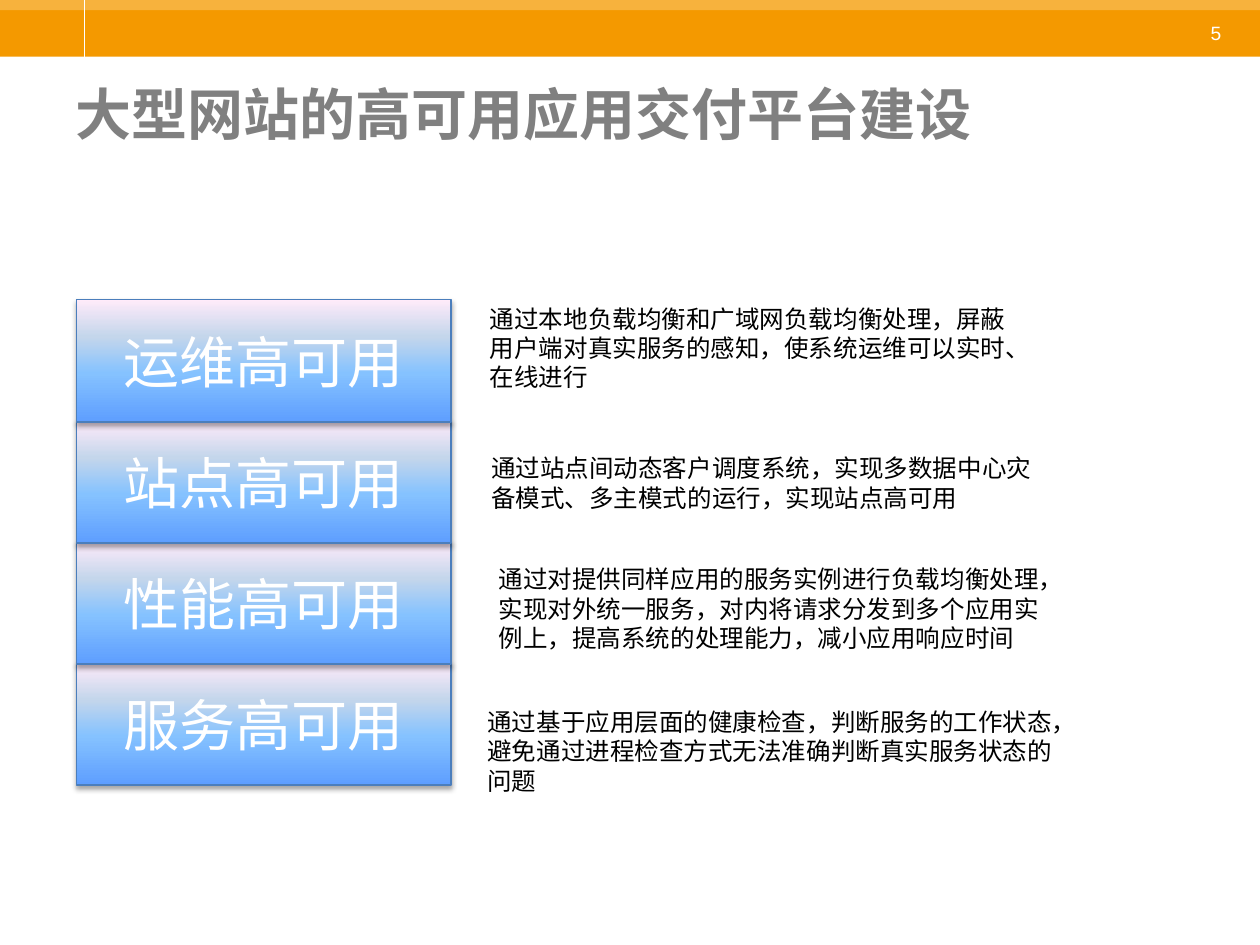
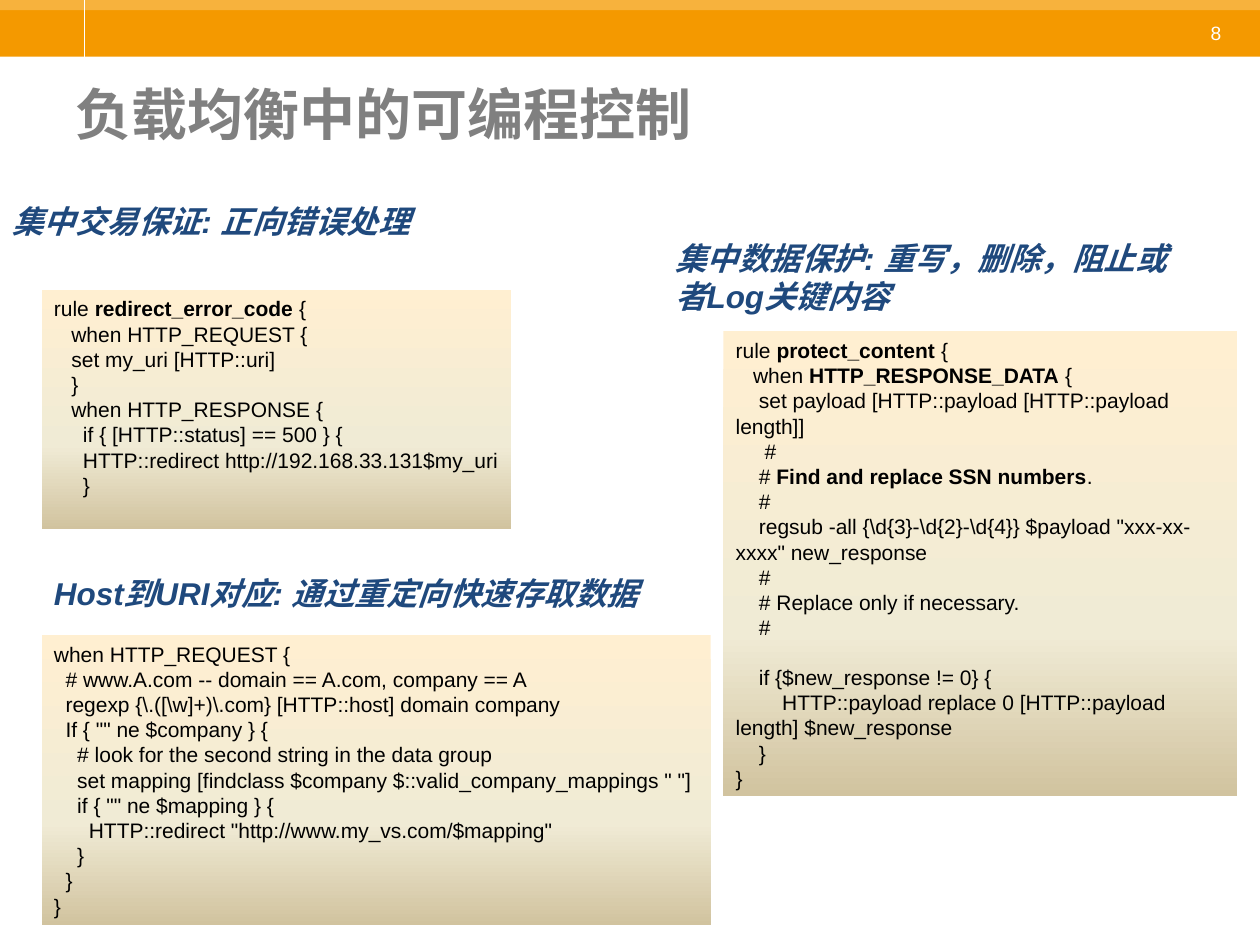
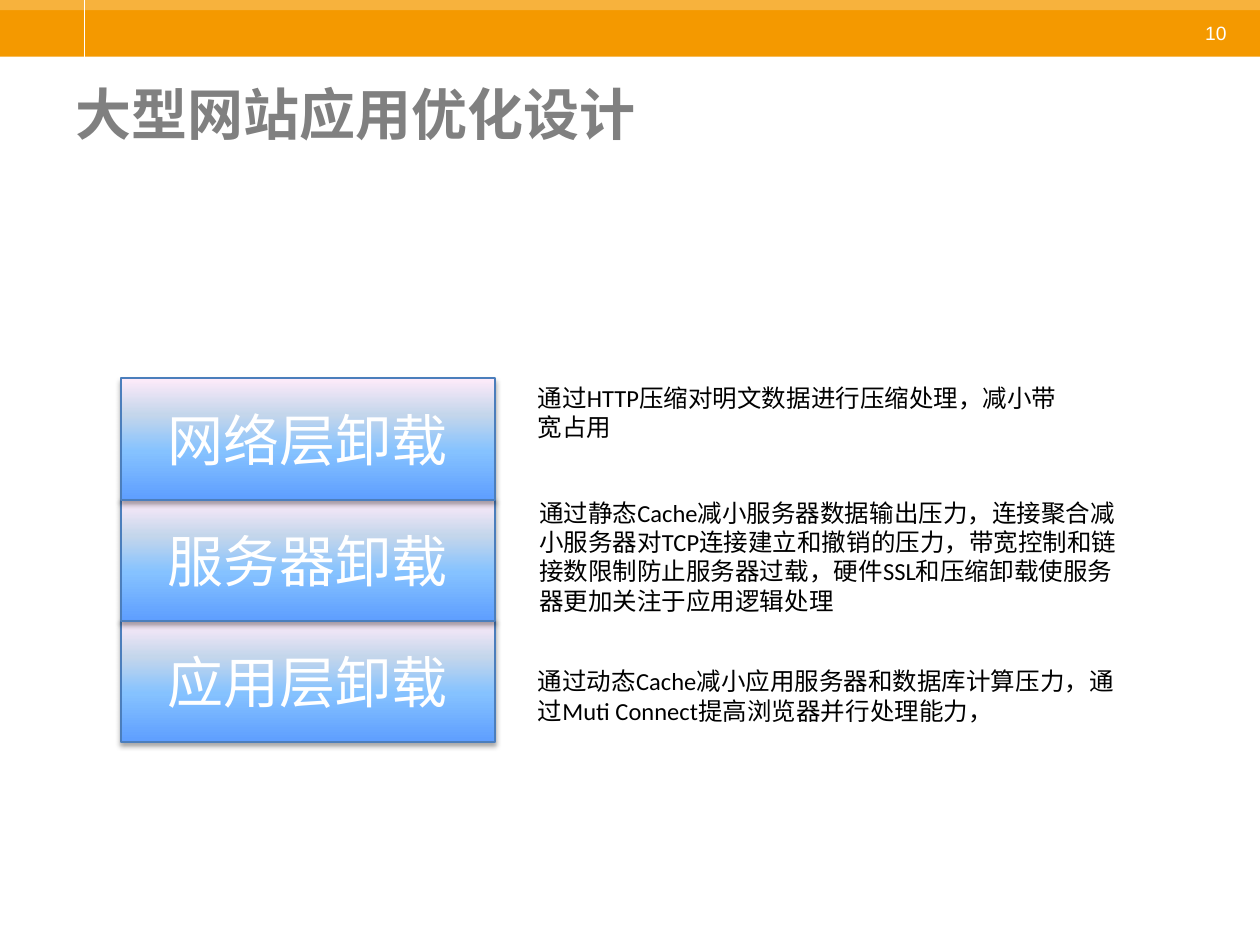
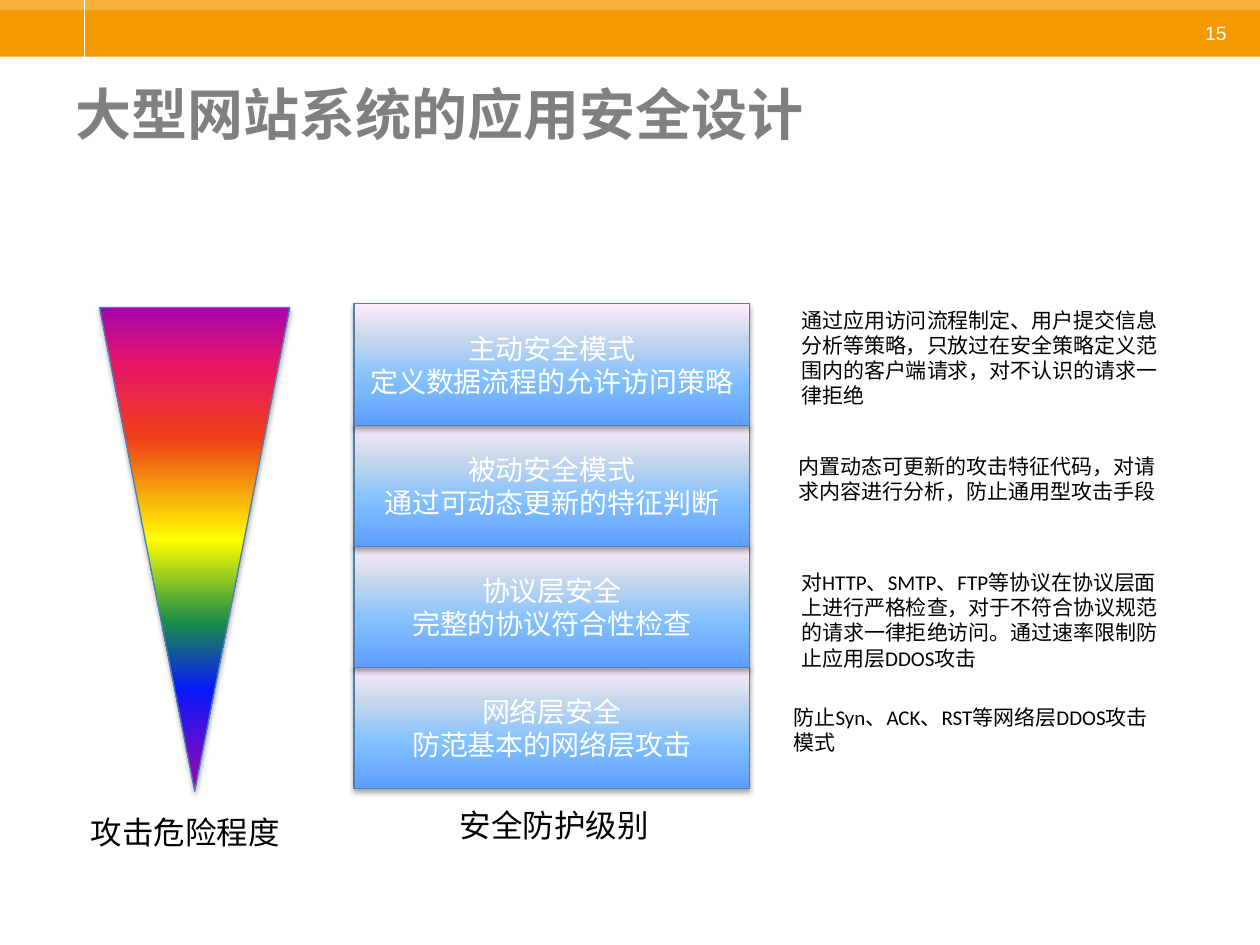
"""Builds four slides on availability, load balancing, offloading and security of large web sites."""
from pptx import Presentation
from pptx.dml.color import RGBColor
from pptx.enum.shapes import MSO_CONNECTOR as Connector, MSO_SHAPE as Preset
from pptx.enum.text import MSO_ANCHOR as Anchor, PP_ALIGN as Align
from pptx.oxml import parse_xml
from pptx.oxml.ns import nsdecls
from pptx.util import Inches, Pt

COLORS = {
    "band": "F49900", "band_light": "F7B23D", "white": "FFFFFF", "title": "808080",
    "heading": "1F497D", "text": "000000", "outline": "4B7EBC",
}
BLUE = [(0, "5E9EFF"), (40, "85C2FF"), (70, "C4D6EB"), (100, "FFEBFA")]
SAND = [(0, "FFEFD1"), (65, "F0EBD5"), (100, "D1C39F")]
RAINBOW = [(0, "A603AB"), (21, "0819FB"), (35, "1A8D48"), (52, "FFFF00"),
           (73, "EE3F17"), (88, "E81766"), (100, "A603AB")]
SPACE_WIDTH = 0.05 * 12 / 13


def write(box, lines, color, anchor=Anchor.TOP, align=Align.LEFT, wrap=True, **font):
    frame = box.text_frame
    frame.word_wrap = wrap
    frame.vertical_anchor = anchor
    gap = False
    for number, line in enumerate(lines):
        if not line:
            gap = True
            continue
        para = frame.paragraphs[0] if number == 0 else frame.add_paragraph()
        para.alignment = align
        text = line.lstrip()
        if text != line:
            indent = Inches((len(line) - len(text)) * SPACE_WIDTH)
            para._p.get_or_add_pPr().set("indent", str(indent))
        if gap:
            para.space_before = Pt(14)
            gap = False
        for part, words in enumerate(text.split("**")):
            if words:
                span = para.add_run()
                span.text = words
                span.font.color.rgb = RGBColor.from_string(COLORS[color])
                for name, value in {**font, "bold": font.get("bold", part % 2 == 1)}.items():
                    setattr(span.font, name, value)


def paint(shape, stops, angle, raised=True):
    marks = "".join(f'<a:gs pos="{pos * 1000}"><a:srgbClr val="{color}"/></a:gs>' for pos, color in stops)
    shape.element.spPr.insert(2, parse_xml(
        f'<a:gradFill rotWithShape="1" {nsdecls("a")}><a:gsLst>{marks}</a:gsLst>'
        f'<a:lin ang="{angle * 60000}" scaled="0"/></a:gradFill>'))
    shape.shadow.inherit = False
    if not raised:
        shape.line.fill.background()
        return
    shape.line.color.rgb = RGBColor.from_string(COLORS["outline"])
    shape.line.width = Pt(0.75)
    shape.element.spPr.effectLst.append(parse_xml(
        f'<a:outerShdw blurRad="{Pt(3.1)}" dist="{Pt(1.8)}" dir="5400000" rotWithShape="0" {nsdecls("a")}>'
        '<a:srgbClr val="000000"><a:alpha val="35000"/></a:srgbClr></a:outerShdw>'))


deck = Presentation()
deck.slide_width, deck.slide_height = Inches(10), Inches(7.5)
layout = deck.slide_layouts[5]
for holder in list(layout.placeholders):
    if holder.placeholder_format.idx != 0:
        layout.shapes.element.remove(holder.element)

titles = [
    ("5", "大型网站的高可用应用交付平台建设"),
    ("8", "负载均衡中的可编程控制"),
    ("10", "大型网站应用优化设计"),
    ("15", "大型网站系统的应用安全设计"),
]
pages = [deck.slides.add_slide(layout) for _ in titles]

header = []
for color, height in [("band", 0.45), ("band_light", 0.08)]:
    band = pages[0].shapes.add_shape(Preset.RECTANGLE, 0, 0, Inches(10), Inches(height))
    band.fill.solid()
    band.fill.fore_color.rgb = RGBColor.from_string(COLORS[color])
    band.line.fill.background()
    band.shadow.inherit = False
    header.append(band)
divider = pages[0].shapes.add_connector(Connector.STRAIGHT, Inches(0.67), 0, Inches(0.67), Inches(0.45))
divider.line.color.rgb = RGBColor.from_string(COLORS["white"])
divider.line.width = Pt(0.75)
divider.element.spPr.append(parse_xml(f'<a:effectLst {nsdecls("a")}/>'))
for part in header + [divider]:
    layout.shapes.element.append(part.element)

for page, (number, title) in zip(pages, titles):
    heading = page.shapes.title
    heading.left, heading.top, heading.width, heading.height = map(Inches, (0.5, 0.58, 9, 0.88))
    write(heading, [title], "title", size=Pt(32), name="Arial", bold=True)
    box = page.shapes.add_textbox(*map(Inches, (9.44, 0.12, 0.42, 0.29)))
    write(box, [number], "white", align=Align.CENTER, size=Pt(11), name="Arial")

stacks = [
    (pages[0], (0.61, 2.38, 2.97), 32, 14, [
        (["运维高可用"], (3.79, 2.36, 4.43, 0.81),
         "通过本地负载均衡和广域网负载均衡处理，屏蔽用户端对真实服务的感知，使系统运维可以实时、在线进行"),
        (["站点高可用"], (3.8, 3.55, 4.54, 0.57),
         "通过站点间动态客户调度系统，实现多数据中心灾备模式、多主模式的运行，实现站点高可用"),
        (["性能高可用"], (3.86, 4.43, 4.54, 0.81),
         "通过对提供同样应用的服务实例进行负载均衡处理，实现对外统一服务，对内将请求分发到多个应用实例上，"
         "提高系统的处理能力，减小应用响应时间"),
        (["服务高可用"], (3.77, 5.56, 4.82, 0.81),
         "通过基于应用层面的健康检查，判断服务的工作状态，避免通过进程检查方式无法准确判断真实服务状态的问题"),
    ]),
    (pages[2], (0.96, 3, 2.97), 32, 14, [
        (["网络层卸载"], (4.17, 2.99, 4.34, 0.57),
         "通过HTTP压缩对明文数据进行压缩处理，减小带宽占用"),
        (["服务器卸载"], (4.18, 3.9, 4.85, 1.04),
         "通过静态Cache减小服务器数据输出压力，连接聚合减小服务器对TCP连接建立和撤销的压力，"
         "带宽控制和链接数限制防止服务器过载，硬件SSL和压缩卸载使服务器更加关注于应用逻辑处理"),
        (["应用层卸载"], (4.17, 5.24, 4.82, 0.57),
         "通过动态Cache减小应用服务器和数据库计算压力，通过Muti Connect提高浏览器并行处理能力，"),
    ]),
    (pages[3], (2.81, 2.41, 3.14), 16, 12, [
        (["主动安全模式", "定义数据流程的允许访问策略"], (6.26, 2.39, 3.09, 0.91),
         "通过应用访问流程制定、用户提交信息分析等策略，只放过在安全策略定义范围内的客户端请求，"
         "对不认识的请求一律拒绝"),
        (["被动安全模式", "通过可动态更新的特征判断"], (6.24, 3.55, 3.09, 0.5),
         "内置动态可更新的攻击特征代码，对请求内容进行分析，防止通用型攻击手段"),
        (["协议层安全", "完整的协议符合性检查"], (6.26, 4.47, 3.09, 0.91),
         "对HTTP、SMTP、FTP等协议在协议层面上进行严格检查，对于不符合协议规范的请求一律拒绝访问。"
         "通过速率限制防止应用层DDOS攻击"),
        (["网络层安全", "防范基本的网络层攻击"], (6.2, 5.54, 3.09, 0.5),
         "防止Syn、ACK、RST等网络层DDOS攻击模式"),
    ]),
]
for page, (left, top, width), label_size, note_size, layers in stacks:
    for row, (label, place, note) in reversed(list(enumerate(layers))):
        layer = page.shapes.add_shape(
            Preset.RECTANGLE, *map(Inches, (left, top + row * 0.96, width, 0.97)))
        paint(layer, BLUE, 270)
        write(layer, label, "white", Anchor.MIDDLE, Align.CENTER, size=Pt(label_size), name="Calibri")
        box = page.shapes.add_textbox(*map(Inches, place))
        write(box, [note], "text", size=Pt(note_size), name="Calibri")

rules = [
    ((0, 1.25, 6.17, 1), "集中交易保证: 正向错误处理", (0.33, 2.3, 3.73, 1.9), False, r"""rule **redirect_error_code** {
   when HTTP_REQUEST {
   set my_uri [HTTP::uri]
   }
   when HTTP_RESPONSE {
     if { [HTTP::status] == 500 } {
     HTTP::redirect http://192.168.33.131$my_uri
     }"""),
    ((0.33, 4.33, 5.17, 0.75), "Host到URI对应: 通过重定向快速存取数据", (0.33, 5.04, 5.31, 2.3), False, r"""when HTTP_REQUEST {
  # www.A.com -- domain == A.com, company == A
  regexp {\.([\w]+)\.com} [HTTP::host] domain company
  If { "" ne $company } {
    # look for the second string in the data group
    set mapping [findclass $company $::valid_company_mappings " "]
    if { "" ne $mapping } {
      HTTP::redirect "http://www.my_vs.com/$mapping"
    }
  }
}"""),
    ((5.26, 1.7, 4.33, 1), "集中数据保护: 重写，删除，阻止或者Log关键内容", (5.74, 2.63, 4.08, 3.69), True, r"""rule **protect_content **{
   when **HTTP_RESPONSE_DATA** {
    set payload [HTTP::payload [HTTP::payload length]]
     #
    # **Find and replace SSN numbers**.
    #
    regsub -all {\d{3}-\d{2}-\d{4}} $payload "xxx-xx-xxxx" new_response
    #
    # Replace only if necessary.
    #

    if {$new_response != 0} {
        HTTP::payload replace 0 [HTTP::payload length] $new_response
    }
}"""),
]
for heading_place, heading, code_place, wrap, code in rules:
    panel = pages[1].shapes.add_shape(Preset.RECTANGLE, *map(Inches, code_place))
    paint(panel, SAND, 90, raised=False)
    write(panel, code.split("\n"), "text", wrap=wrap, size=Pt(12), name="Arial")
    box = pages[1].shapes.add_textbox(*map(Inches, heading_place))
    write(box, [heading], "heading", Anchor.MIDDLE, size=Pt(18), name="Arial", bold=True, italic=True)

danger = pages[3].shapes.add_shape(
    Preset.ISOSCELES_TRIANGLE, *map(Inches, (0.79, 2.44, 1.51, 3.84)))
danger.rotation = 180
paint(danger, RAINBOW, 90)
for left, top, caption in [(0.62, 6.4, "攻击危险程度"), (3.55, 6.35, "安全防护级别")]:
    box = pages[3].shapes.add_textbox(*map(Inches, (left, top, 1.72, 0.4)))
    write(box, [caption], "text", wrap=False, size=Pt(18), name="Calibri")

deck.save("out.pptx")
